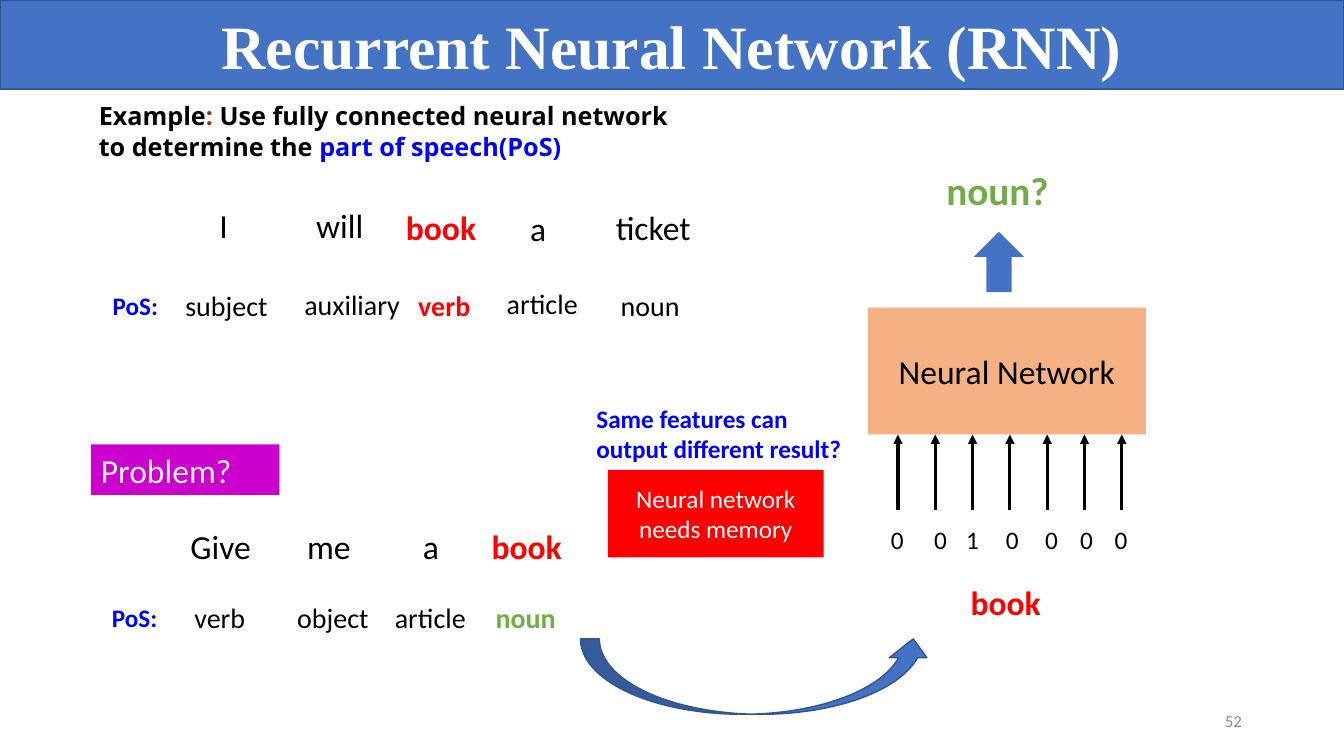
from dataclasses import dataclass

from lxml import etree
from pptx import Presentation
from pptx.dml.color import RGBColor
from pptx.enum.shapes import MSO_CONNECTOR, MSO_SHAPE
from pptx.enum.text import MSO_ANCHOR, MSO_AUTO_SIZE, PP_ALIGN
from pptx.oxml.ns import qn
from pptx.util import Cm, Pt

RECTANGLE = MSO_SHAPE.RECTANGLE
UP_ARROW = MSO_SHAPE.UP_ARROW
CURVED_UP_ARROW = MSO_SHAPE.CURVED_UP_ARROW
STRAIGHT = MSO_CONNECTOR.STRAIGHT
TOP, MIDDLE = MSO_ANCHOR.TOP, MSO_ANCHOR.MIDDLE
LEFT, CENTER, RIGHT = PP_ALIGN.LEFT, PP_ALIGN.CENTER, PP_ALIGN.RIGHT
GROW, FIXED = MSO_AUTO_SIZE.SHAPE_TO_FIT_TEXT, MSO_AUTO_SIZE.NONE

BLACK = RGBColor(0x00, 0x00, 0x00)
WHITE = RGBColor(0xFF, 0xFF, 0xFF)
PALE = RGBColor(0xF2, 0xF2, 0xF2)
GRAY = RGBColor(0x8C, 0x8C, 0x8C)
BLUE = RGBColor(0x44, 0x72, 0xC4)
DARK_BLUE = RGBColor(0x32, 0x54, 0x91)
PURE_BLUE = RGBColor(0x00, 0x00, 0xFF)
RED = RGBColor(0xFF, 0x00, 0x00)
GREEN = RGBColor(0x70, 0xAD, 0x47)
BROWN = RGBColor(0x84, 0x3C, 0x0B)
PURPLE = RGBColor(0xCC, 0x00, 0xCC)
ORANGE = RGBColor(0xF4, 0xB1, 0x83)


@dataclass
class Area:
    left: float
    top: float
    width: float
    height: float


@dataclass
class Label:
    text: str
    left: float
    top: float
    width: float
    size: int
    color: RGBColor = BLACK
    bold: bool = False


@dataclass
class Block:
    area: Area
    fill: RGBColor
    kind: int = RECTANGLE
    line: RGBColor | None = None


def write(shape, text, *, size, color=BLACK, font="Calibri", bold=False,
          align=LEFT, anchor=TOP, wrap=True, fit=FIXED):
    """Fill a shape with text, given as a string or as (string, color) pairs."""
    frame = shape.text_frame
    frame.word_wrap = wrap
    frame.auto_size = fit
    frame.vertical_anchor = anchor
    para = frame.paragraphs[0]
    para.alignment = align
    for part, shade in [(text, color)] if isinstance(text, str) else text:
        span = para.add_run()
        span.text = part
        span.font.name = font
        span.font.size = Pt(size)
        span.font.bold = bold
        span.font.color.rgb = shade


def add_box(page, area: Area):
    return page.shapes.add_textbox(
        Cm(area.left), Cm(area.top), Cm(area.width), Cm(area.height))


def add_label(page, label: Label) -> None:
    box = add_box(page, Area(label.left, label.top, label.width, label.size * 0.056))
    write(box, label.text, size=label.size, color=label.color, bold=label.bold,
          wrap=False, fit=GROW)


def add_block(page, block: Block):
    area = block.area
    shape = page.shapes.add_shape(
        block.kind, Cm(area.left), Cm(area.top), Cm(area.width), Cm(area.height))
    shape.shadow.inherit = False
    shape.fill.solid()
    shape.fill.fore_color.rgb = block.fill
    if block.line is None:
        shape.line.fill.background()
    else:
        shape.line.color.rgb = block.line
        shape.line.width = Pt(1)
    return shape


def add_input_arrow(page, x: float, start: float, end: float) -> None:
    arrow = page.shapes.add_connector(STRAIGHT, Cm(x), Cm(start), Cm(x), Cm(end))
    arrow.line.color.rgb = BLACK
    arrow.line.width = Pt(2.25)
    etree.SubElement(arrow.line._get_or_add_ln(), qn("a:tailEnd"), type="triangle")
    etree.SubElement(arrow._element.spPr, qn("a:effectLst"))


LABELS = [
    # First sentence and its parts of speech
    Label("I", 5.28, 5.05, 0.74, 24),
    Label("will", 7.72, 5.05, 1.7, 24),
    Label("book", 9.98, 5.08, 2.29, 24, RED, True),
    Label("a", 13.11, 5.11, 0.91, 24),
    Label("ticket", 15.27, 5.08, 2.41, 24),
    Label("PoS:", 2.59, 7.19, 1.68, 18, PURE_BLUE, True),
    Label("subject", 4.42, 7.14, 2.62, 20),
    Label("auxiliary", 7.42, 7.11, 2.95, 20),
    Label("verb", 10.29, 7.14, 1.85, 20, RED, True),
    Label("article", 12.52, 7.09, 2.34, 20),
    Label("noun", 15.39, 7.14, 2.01, 20),
    # Second sentence and its parts of speech
    Label("Give", 4.55, 13.13, 2.06, 24),
    Label("me", 7.49, 13.13, 1.63, 24),
    Label("a", 10.41, 13.13, 0.91, 24),
    Label("book", 12.14, 13.13, 2.29, 24, RED, True),
    Label("PoS:", 2.57, 15.06, 1.68, 18, PURE_BLUE, True),
    Label("verb", 4.65, 15.01, 1.85, 20),
    Label("object", 7.24, 15.01, 2.36, 20),
    Label("article", 9.7, 15.01, 2.34, 20),
    Label("noun", 12.24, 15.01, 2.08, 20, GREEN, True),
    # Network input and output
    Label("book", 24.21, 14.53, 2.29, 24, RED, True),
    Label("noun?", 23.6, 4.06, 3.12, 28, GREEN, True),
]

INPUT_BITS = [("0", 22.2), ("0", 23.29), ("1", 24.1), ("0", 25.1),
              ("0", 26.09), ("0", 26.97), ("0", 27.84)]


def main() -> None:
    deck = Presentation()
    deck.slide_width, deck.slide_height = Cm(33.87), Cm(19.05)
    page = deck.slides.add_slide(deck.slide_layouts[6])

    # Title bar
    title = add_block(page, Block(Area(0, 0, 33.87, 2.24), BLUE, line=DARK_BLUE))
    write(title, "Recurrent Neural Network (RNN)", size=44, color=WHITE,
          font="Times New Roman", bold=True, align=CENTER, anchor=MIDDLE)

    # Example and the two tagged sentences
    example = add_box(page, Area(2.24, 2.41, 15.44, 1.8))
    write(example, [("Example", BLACK), (":", BROWN),
                    (" Use fully connected neural network to determine the ", BLACK),
                    ("part of speech(PoS)", PURE_BLUE)],
          size=18, font="Open Sans", bold=True, fit=GROW)
    for label in LABELS:
        add_label(page, label)

    # Problem and its remedy
    problem = add_block(page, Block(Area(2.29, 11.2, 4.75, 1.27), PURPLE))
    write(problem, "Problem?", size=24, color=PALE, fit=GROW)
    question = add_box(page, Area(14.78, 10.03, 6.93, 1.8))
    write(question, "Same features can output different result?", size=18,
          color=PURE_BLUE, bold=True, fit=GROW)
    remedy = add_block(page, Block(Area(15.32, 11.84, 5.44, 2.21), RED))
    write(remedy, "Neural network needs memory", size=18, color=WHITE,
          align=CENTER, anchor=MIDDLE)

    # Network with its input vector
    network = add_block(page, Block(Area(21.87, 7.75, 7.01, 3.2), ORANGE))
    write(network, "Neural Network", size=24, align=CENTER, anchor=MIDDLE)
    add_block(page, Block(Area(24.54, 5.84, 1.27, 1.52), BLUE, UP_ARROW))
    add_block(page, Block(Area(14.63, 16.1, 8.86, 1.9), BLUE, CURVED_UP_ARROW, DARK_BLUE))
    for index, (bit, left) in enumerate(INPUT_BITS):
        add_input_arrow(page, 22.63 + index * 0.94, 12.85, 10.95)
        add_label(page, Label(bit, left, 13.08, 0.84, 18))

    # Page number
    number = add_box(page, Area(23.93, 17.65, 7.62, 1.02))
    write(number, "52", size=12, color=GRAY, align=RIGHT, anchor=MIDDLE)

    deck.save("out.pptx")


if __name__ == "__main__":
    main()
